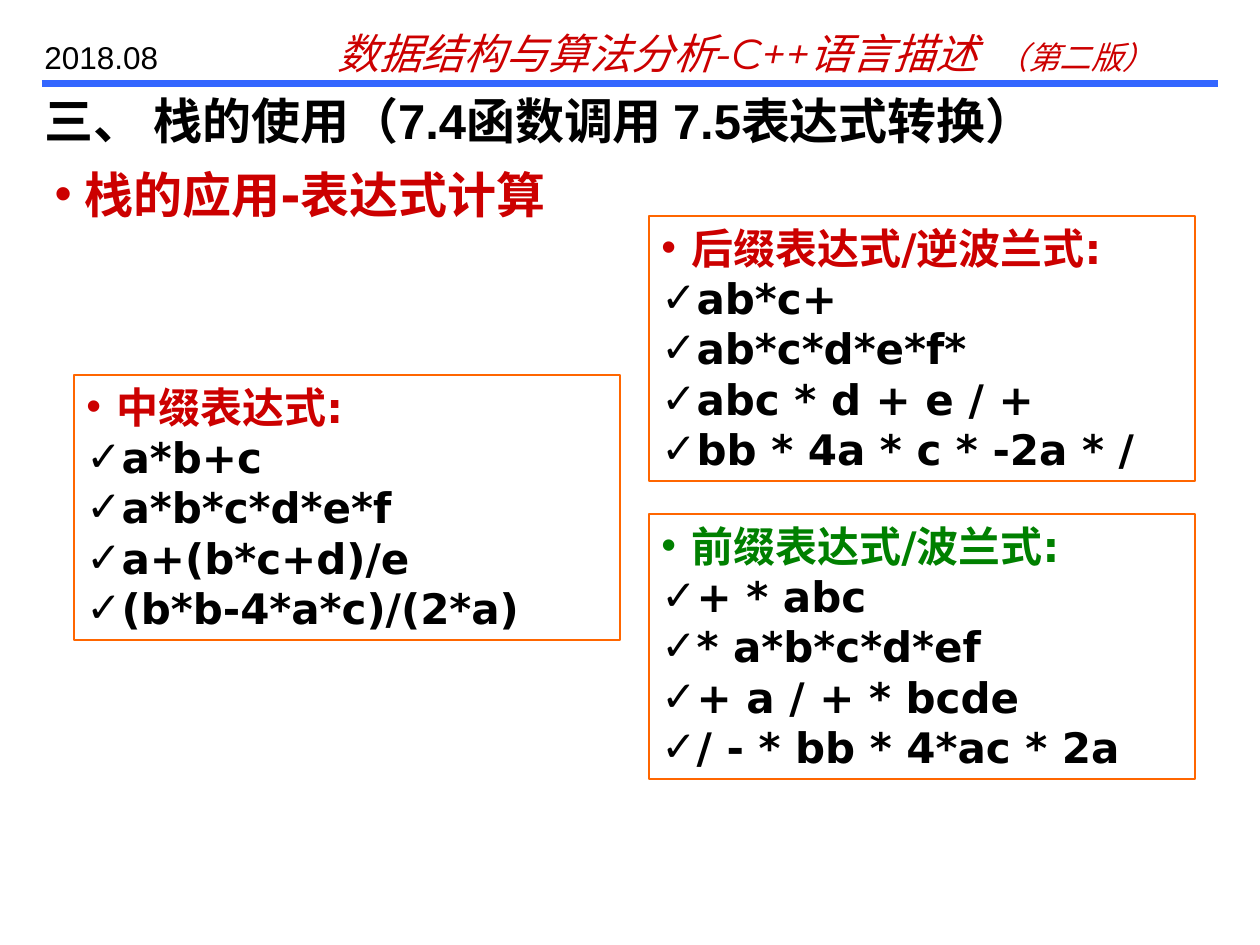
from dataclasses import dataclass

from lxml import etree
from pptx import Presentation
from pptx.dml.color import RGBColor
from pptx.enum.shapes import MSO_CONNECTOR, MSO_SHAPE
from pptx.enum.text import MSO_ANCHOR, MSO_AUTO_SIZE, PP_ALIGN
from pptx.oxml.ns import qn
from pptx.util import Pt

STRAIGHT = MSO_CONNECTOR.STRAIGHT
RECTANGLE = MSO_SHAPE.RECTANGLE
TOP = MSO_ANCHOR.TOP
LEFT = PP_ALIGN.LEFT
GROW = MSO_AUTO_SIZE.SHAPE_TO_FIT_TEXT
FIXED = MSO_AUTO_SIZE.NONE
EMU_PER_PX = 914400 / 126
HANGING_INDENT = 30
PANEL_WIDTH, PANEL_HEIGHT = 546, 265


@dataclass(frozen=True)
class Theme:
    """Colours, fonts and type sizes of the slide."""
    red: str = "CC0000"
    green: str = "008000"
    black: str = "000000"
    blue: str = "3366FF"
    orange: str = "FF6600"
    plain_font: str = "Arial"
    list_font: str = "DejaVu Sans"
    header_font: str = "Montserrat"
    heading_size: int = 28
    panel_size: int = 24
    small_size: int = 18


THEME = Theme()


@dataclass(frozen=True)
class Style:
    """Character formatting of one run."""
    font: str
    size: int
    color: str
    bold: bool = False
    italic: bool = False


@dataclass(frozen=True)
class Panel:
    """A framed list of expressions in one notation."""
    left: int
    top: int
    heading: str
    color: str
    expressions: tuple[str, ...]


PANELS = (
    Panel(74, 375, "中缀表达式:", THEME.red,
          ("a*b+c", "a*b*c*d*e*f", "a+(b*c+d)/e", "(b*b-4*a*c)/(2*a)")),
    Panel(649, 216, "后缀表达式/逆波兰式:", THEME.red,
          ("ab*c+", "ab*c*d*e*f*", "abc * d + e / +", "bb * 4a * c * -2a * /")),
    Panel(649, 514, "前缀表达式/波兰式:", THEME.green,
          ("+ * abc", "* a*b*c*d*ef", "+ a / + * bcde", "/ - * bb * 4*ac * 2a")),
)


def px(length: int) -> int:
    """Convert pixels to EMU."""
    return round(length * EMU_PER_PX)


def place(shape, left: int, top: int, width: int, height: int) -> None:
    """Move and size a shape."""
    shape.left, shape.top = px(left), px(top)
    shape.width, shape.height = px(width), px(height)


def prepare_frame(shape, auto_size=GROW):
    """Set wrapping, anchor and fitting, and return the text frame."""
    frame = shape.text_frame
    frame.word_wrap = True
    frame.auto_size = auto_size
    frame.vertical_anchor = TOP
    return frame


def add_span(para, text: str, style: Style) -> None:
    """Append one formatted run to a paragraph."""
    para.alignment = LEFT
    span = para.add_run()
    span.text = text
    span.font.name = style.font
    span.font.size = Pt(style.size)
    span.font.bold = style.bold
    span.font.italic = style.italic
    span.font.color.rgb = RGBColor.from_string(style.color)


def add_bullet(para, mark: str, color: str) -> None:
    """Give a paragraph a coloured bullet with a hanging indent."""
    para.space_before = Pt(0)
    properties = para._p.get_or_add_pPr()
    properties.set("marL", str(px(HANGING_INDENT)))
    properties.set("indent", str(-px(HANGING_INDENT)))
    fill = etree.SubElement(properties, qn("a:buClr"))
    etree.SubElement(fill, qn("a:srgbClr"), val=color)
    etree.SubElement(properties, qn("a:buFont"), typeface=THEME.plain_font)
    etree.SubElement(properties, qn("a:buChar"), char=mark)


def add_bullet_text(para, mark: str, text: str, size: int, color: str) -> None:
    """Write a bold bulleted line."""
    add_bullet(para, mark, color)
    add_span(para, text, Style(THEME.list_font, size, color, bold=True))


def draw_header(page) -> None:
    """Draw the rule, the book title and the date."""
    rule = page.shapes.add_connector(STRAIGHT, px(42), px(84), px(1218), px(84))
    rule.line.color.rgb = RGBColor.from_string(THEME.blue)
    rule.line.width = Pt(4)
    etree.SubElement(rule._element.spPr, qn("a:effectLst"))

    book = page.shapes.add_textbox(px(325), px(21), px(882), px(63))
    para = prepare_frame(book).paragraphs[0]
    add_span(para, "数据结构与算法分析-C++语言描述  ",
             Style(THEME.header_font, THEME.panel_size, THEME.red, italic=True))
    add_span(para, "（第二版）",
             Style(THEME.header_font, THEME.small_size, THEME.red, italic=True))

    date = page.shapes.add_textbox(px(32), px(32), px(179), px(50))
    add_span(prepare_frame(date).paragraphs[0], "2018.08",
             Style(THEME.plain_font, THEME.small_size, THEME.black))


def fill_placeholders(page) -> None:
    """Write the section title and the topic line."""
    title, body = page.shapes.title, page.placeholders[1]
    place(title, 32, 84, 1144, 63)
    add_span(prepare_frame(title, FIXED).paragraphs[0],
             "三、 栈的使用（7.4函数调用 7.5表达式转换）",
             Style(THEME.plain_font, THEME.heading_size, THEME.black, bold=True))
    place(body, 42, 158, 1153, 72)
    add_bullet_text(prepare_frame(body).paragraphs[0], "•", "栈的应用-表达式计算",
                    THEME.heading_size, THEME.red)


def draw_panel(page, panel: Panel) -> None:
    """Draw one framed list of expressions."""
    box = page.shapes.add_shape(RECTANGLE, px(panel.left), px(panel.top),
                                px(PANEL_WIDTH), px(PANEL_HEIGHT))
    box.shadow.inherit = False
    box.fill.background()
    box.line.color.rgb = RGBColor.from_string(THEME.orange)
    box.line.width = Pt(0.75)
    frame = prepare_frame(box)
    add_bullet_text(frame.paragraphs[0], "•", panel.heading,
                    THEME.panel_size, panel.color)
    for expression in panel.expressions:
        add_bullet_text(frame.add_paragraph(), "✓", expression,
                        THEME.panel_size, THEME.black)


def main() -> None:
    """Build and save the deck."""
    deck = Presentation()
    deck.slide_width, deck.slide_height = px(1260), px(945)
    page = deck.slides.add_slide(deck.slide_layouts[1])
    draw_header(page)
    fill_placeholders(page)
    for panel in PANELS:
        draw_panel(page, panel)
    deck.save("out.pptx")


if __name__ == "__main__":
    main()
